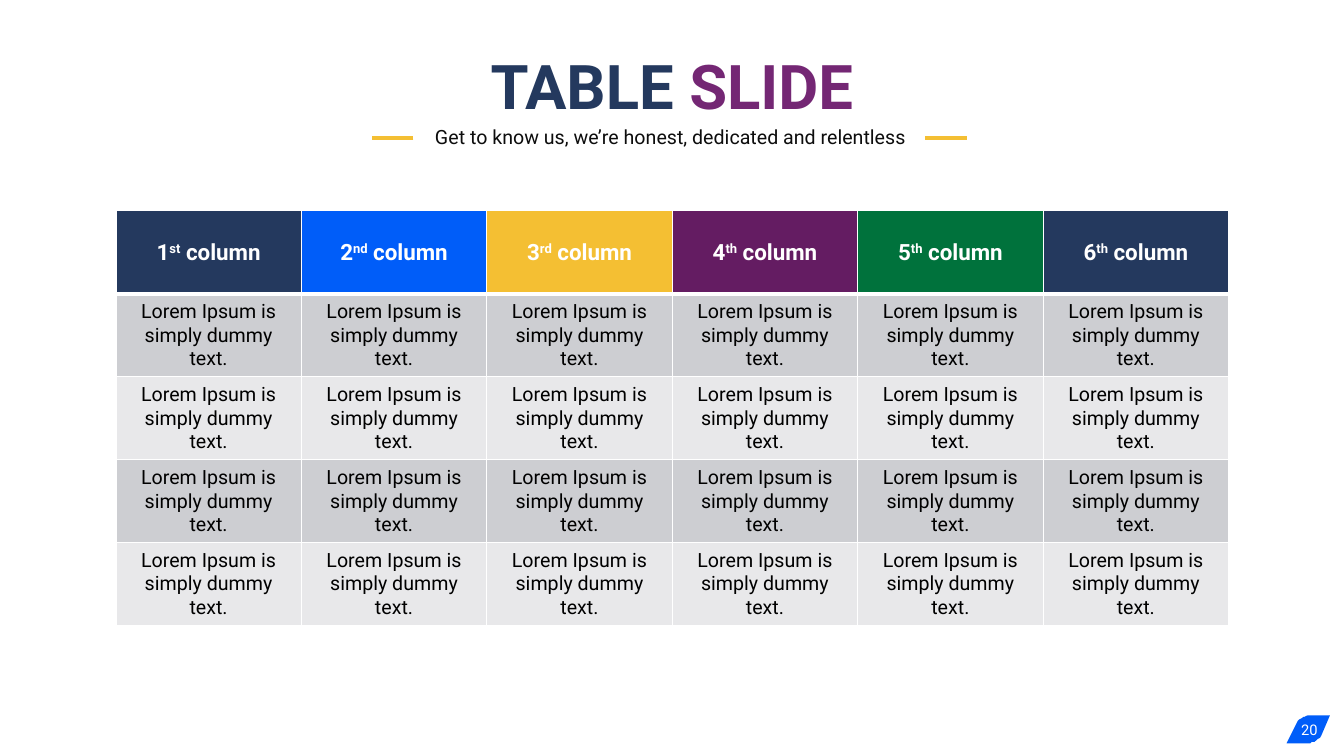
from lxml.etree import SubElement
from pptx import Presentation
from pptx.dml.color import RGBColor
from pptx.enum.shapes import MSO_CONNECTOR as Connector
from pptx.enum.text import MSO_ANCHOR as Anchor, MSO_AUTO_SIZE as AutoSize, PP_ALIGN as Align
from pptx.oxml.ns import qn
from pptx.util import Pt

NAVY, BLUE, GOLD, PLUM, GREEN, WHITE = "24395E", "005DF9", "F4BF33", "641C62", "00723C", "FFFFFF"


def color(value):
    return RGBColor.from_string(value)


def style(paragraph, size, value, bold=False):
    paragraph.alignment = Align.CENTER
    for run in paragraph.runs:
        run.font.name = "Roboto"
        run.font.size = Pt(size)
        run.font.bold = bold
        run.font.color.rgb = color(value)


deck = Presentation()
deck.slide_width, deck.slide_height = Pt(960), Pt(540)
slide = deck.slides.add_slide(deck.slide_layouts[1])
shapes = slide.shapes

# Page badge: slanted outline with two rounded corners
curves = [
    [(935.3, 511.2), (933.8, 511.2), (928.8, 511.9), (925.9, 517)],
    [(934.6, 530.6), (936, 530.6), (941, 530.6), (943.9, 524.9)],
]
rounded = []
for a, b, c, d in curves:
    steps = [i / 8 for i in range(9)]
    rounded.append([
        tuple((1 - t) ** 3 * a[k] + 3 * t * (1 - t) ** 2 * b[k] + 3 * t * t * (1 - t) * c[k] + t ** 3 * d[k]
              for k in (0, 1))
        for t in steps
    ])
outline = rounded[0] + [(919.4, 530.6)] + rounded[1] + [(950.4, 511.2)]
builder = shapes.build_freeform(*outline[0], scale=Pt(1))
builder.add_line_segments(outline[1:], close=True)
badge = builder.convert_to_shape()
badge.shadow.inherit = False
badge.fill.solid()
badge.fill.fore_color.rgb = color(BLUE)
badge.line.fill.background()

# Title
title = shapes.title
title.left, title.top, title.width, title.height = Pt(66), Pt(35.3), Pt(828), Pt(51)
title.text_frame.auto_size = AutoSize.NONE
title.text_frame.vertical_anchor = Anchor.MIDDLE
heading = title.text_frame.paragraphs[0]
for word in ("TABLE ", "SLIDE"):
    heading.add_run().text = word
style(heading, 44, NAVY, True)
heading.runs[1].font.color.rgb = color("742774")

# Subtitle
subtitle = slide.placeholders[1]
subtitle.left, subtitle.top, subtitle.width, subtitle.height = Pt(65), Pt(85.7), Pt(828), Pt(26.6)
subtitle.text_frame.auto_size = AutoSize.NONE
subtitle.text_frame.text = "Get to know us, we’re honest, dedicated and relentless"
tagline = subtitle.text_frame.paragraphs[0]
tagline.space_before = Pt(0)
style(tagline, 14, "0D0D0D")
tagline_format = tagline._p.get_or_add_pPr()
tagline_format.set("marL", "0")
tagline_format.set("indent", "0")
SubElement(tagline_format, qn("a:buNone"))

# Page number
number = shapes.add_textbox(Pt(914.4), Pt(506.9), Pt(41.8), Pt(28.8))
number.text_frame.word_wrap = True
number.text_frame.vertical_anchor = Anchor.MIDDLE
number.text_frame.text = "20"
style(number.text_frame.paragraphs[0], 10.5, WHITE)

# Table
headers = [("1", "st", NAVY), ("2", "nd", BLUE), ("3", "rd", GOLD),
           ("4", "th", PLUM), ("5", "th", GREEN), ("6", "th", NAVY)]
bands = ["CDCED2", "E8E8EA"]
row_count = 5
table = shapes.add_table(row_count, len(headers), Pt(82.8), Pt(150.6), Pt(794.9), Pt(296.5)).table
for column in table.columns:
    column.width = Pt(794.9 / len(headers))
for row in table.rows:
    row.height = Pt(296.5 / row_count)

for r in range(row_count):
    for c, (digit, suffix, header_fill) in enumerate(headers):
        cell = table.cell(r, c)
        cell.vertical_anchor = Anchor.MIDDLE
        paragraph = cell.text_frame.paragraphs[0]
        if r == 0:
            for part in (digit, suffix, " column"):
                paragraph.add_run().text = part
            style(paragraph, 16, WHITE, True)
            paragraph.runs[1]._r.get_or_add_rPr().set("baseline", "30000")
        else:
            paragraph.text = "Lorem Ipsum is simply dummy text."
            style(paragraph, 14, "000000")

        # White borders, thicker under the header row
        cell_format = cell._tc.get_or_add_tcPr()
        widths = {"lnL": 1, "lnR": 1, "lnT": 3 if r == 1 else 1, "lnB": 3 if r == 0 else 1}
        for side, width in widths.items():
            border = SubElement(cell_format, qn("a:" + side), w=str(Pt(width)))
            SubElement(SubElement(border, qn("a:solidFill")), qn("a:srgbClr"), val=WHITE)
        cell.fill.solid()
        cell.fill.fore_color.rgb = color(header_fill if r == 0 else bands[(r - 1) % 2])

# Dashes beside the subtitle
for right in (295.2, 690.5):
    dash = shapes.add_connector(Connector.STRAIGHT, Pt(right), Pt(98.6), Pt(right - 29.5), Pt(98.6))
    dash.line.color.rgb = color(GOLD)
    dash.line.width = Pt(3)
    SubElement(dash._element.spPr, qn("a:effectLst"))

deck.save("out.pptx")
